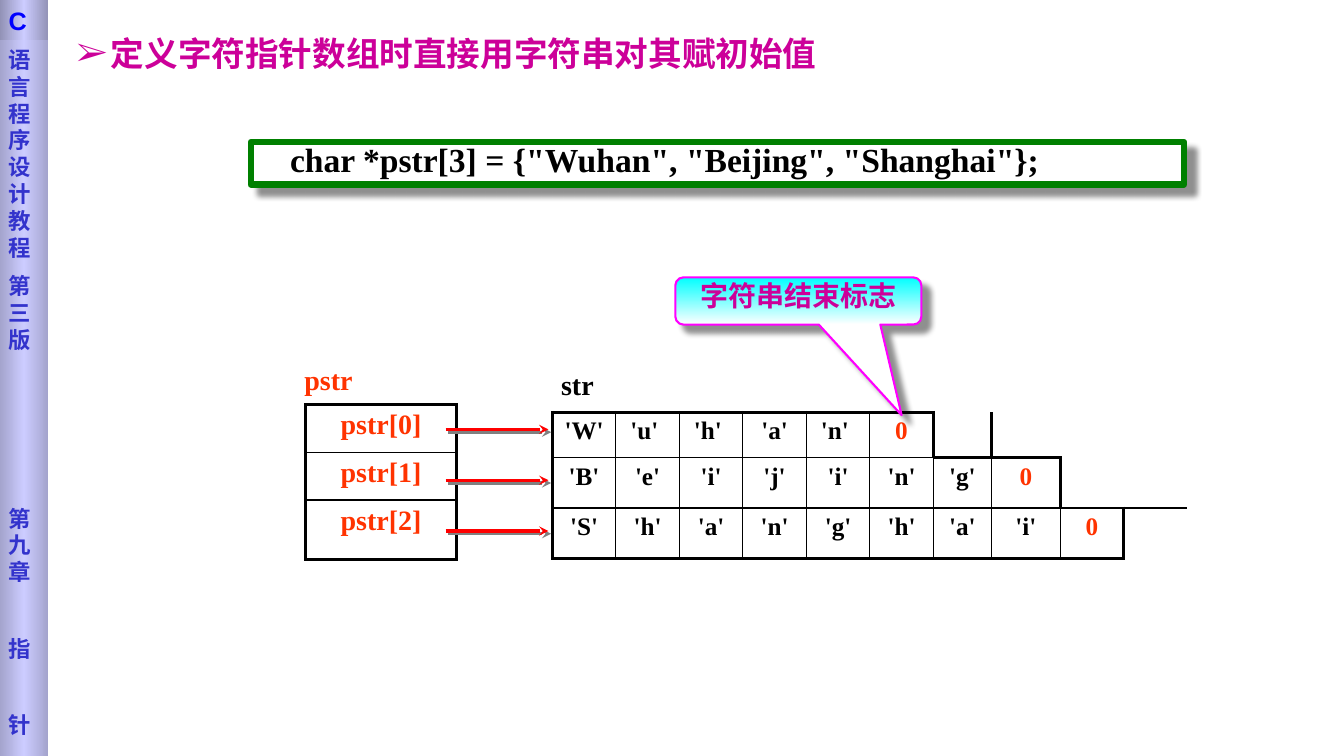
from lxml import etree
from pptx import Presentation
from pptx.dml.color import RGBColor
from pptx.enum.shapes import MSO_CONNECTOR, MSO_SHAPE
from pptx.enum.text import MSO_ANCHOR, MSO_AUTO_SIZE, PP_ALIGN
from pptx.oxml.ns import qn
from pptx.util import Cm, Pt

RECTANGLE = MSO_SHAPE.RECTANGLE
CALLOUT = MSO_SHAPE.ROUNDED_RECTANGULAR_CALLOUT
STRAIGHT = MSO_CONNECTOR.STRAIGHT
TOP, MIDDLE = MSO_ANCHOR.TOP, MSO_ANCHOR.MIDDLE
LEFT, CENTER = PP_ALIGN.LEFT, PP_ALIGN.CENTER
NO_AUTOFIT = MSO_AUTO_SIZE.NONE

BLACK = RGBColor(0x00, 0x00, 0x00)
WHITE = RGBColor(0xFF, 0xFF, 0xFF)
GRAY = RGBColor(0x80, 0x80, 0x80)
RED = RGBColor(0xFF, 0x00, 0x00)
ORANGE = RGBColor(0xFF, 0x33, 0x00)
GREEN = RGBColor(0x00, 0x80, 0x00)
CYAN = RGBColor(0x00, 0xFF, 0xFF)
MAGENTA = RGBColor(0xFF, 0x00, 0xFF)
PURPLE = RGBColor(0xCC, 0x00, 0x99)
BLUE = RGBColor(0x00, 0x00, 0xFF)
INDIGO = RGBColor(0x33, 0x33, 0xCC)
LAVENDER = RGBColor(0xCC, 0xCC, 0xFF)
BAR_EDGE = RGBColor(0xA4, 0xA4, 0xCD)
BADGE_EDGE = RGBColor(0x92, 0x92, 0xB6)

SERIF = "Times New Roman"
PLAIN_TABLE_STYLE = "{2D5ABB26-0587-4C30-8999-92F81FD0307C}"
THIN, HEAVY = Pt(1), Pt(2.25)

POINTER_ROWS = [["pstr[0]"], ["pstr[1]"], ["pstr[2]"]]
STRING_ROWS = [
    ["'W' ", "'u' ", "'h' ", "'a'", "'n' ", "0"],
    ["'B'", "'e'", "'i'", "'j'", "'i'", "'n'", "'g'", "0"],
    ["'S'", "'h'", "'a'", "'n'", "'g'", "'h'", "'a'", "'i'", "0"],
]
# Text and the space before it in points
SIDEBAR_TEXTS = [("语言程序设计教程", 0), ("第三版", 8), ("第九章", 108.5),
                 ("指", 35.5), ("针", 35.5)]


def add_element(parent, tag, **attributes):
    element = etree.SubElement(parent, qn(tag))
    for name, value in attributes.items():
        element.set(name, str(value))
    return element


def add_run(paragraph, text, size, color, font=SERIF):
    run = paragraph.add_run()
    run.text = text
    run.font.name, run.font.size, run.font.bold = font, Pt(size), True
    run.font.color.rgb = color


def set_shadow(properties, color, opacity, blur, distance):
    effects = properties.find(qn("a:effectLst"))
    if effects is None:
        effects = add_element(properties, "a:effectLst")
    shadow = add_element(effects, "a:outerShdw", blurRad=Pt(blur), dist=Pt(distance),
                         dir=45 * 60000, algn="ctr", rotWithShape=0)
    shade = add_element(shadow, "a:srgbClr", val=color)
    add_element(shade, "a:alpha", val=opacity * 1000)


def set_gradient(shape, colors, angle):
    """Spread the colours evenly; the angle runs counter-clockwise."""
    shape.fill.gradient()
    shape.fill.gradient_angle = angle
    stops = shape.fill._fill._gradFill.find(qn("a:gsLst"))
    for stop in list(stops):
        stops.remove(stop)
    for index, color in enumerate(colors):
        stop = add_element(stops, "a:gs", pos=100000 * index // (len(colors) - 1))
        add_element(stop, "a:srgbClr", val=color)


def add_panel(slide, kind, left, top, width, height, anchor=TOP):
    shape = slide.shapes.add_shape(kind, left, top, width, height)
    shape.shadow.inherit = False
    shape.line.fill.background()
    frame = shape.text_frame
    frame.word_wrap, frame.vertical_anchor = True, anchor
    frame.paragraphs[0].alignment = LEFT
    return shape


def add_heading(slide, left, top, width, height):
    title = slide.shapes.title
    title.left, title.top, title.width, title.height = left, top, width, height
    frame = title.text_frame
    frame.auto_size, frame.vertical_anchor = NO_AUTOFIT, MIDDLE
    paragraph = frame.paragraphs[0]
    paragraph.alignment = LEFT
    properties = paragraph._p.get_or_add_pPr()
    properties.set("marL", str(Cm(0.86)))
    properties.set("indent", str(Cm(-0.86)))
    add_element(properties, "a:buFont", typeface=SERIF)
    add_element(properties, "a:buChar", char="➢")
    add_run(paragraph, "定义字符指针数组时直接用字符串对其赋初始值", 24, PURPLE)


def add_code_box(slide, left, top, width, height):
    shape = add_panel(slide, RECTANGLE, left, top, width, height, MIDDLE)
    shape.fill.solid()
    shape.fill.fore_color.rgb = WHITE
    shape.line.color.rgb, shape.line.width = GREEN, Pt(4.5)
    set_shadow(shape._element.spPr, BLACK, 43, 4, 8.4)
    paragraph = shape.text_frame.paragraphs[0]
    paragraph.line_spacing = 0.8
    paragraph._p.get_or_add_pPr().set("indent", str(Cm(0.74)))
    add_run(paragraph, 'char *pstr[3] = {"Wuhan", "Beijing", "Shanghai"};', 24, BLACK)


def set_border(cell, side, width):
    line = add_element(cell._tc.get_or_add_tcPr(), "a:ln" + side, w=width)
    add_element(add_element(line, "a:solidFill"), "a:srgbClr", val=BLACK)


def add_stepped_table(slide, left, top, widths, heights, rows, size, color_of, ledges=()):
    """Frame the filled cells heavily and part them thinly; ledges are empty
    cells that also get a heavy bottom line."""
    frame = slide.shapes.add_table(len(rows), len(widths), left, top,
                                   sum(widths), sum(heights))
    table = frame.table
    table.first_row = table.horz_banding = False
    table._tbl.tblPr.find(qn("a:tableStyleId")).text = PLAIN_TABLE_STYLE
    for column, width in zip(table.columns, widths):
        column.width = width
    for row, height in zip(table.rows, heights):
        row.height = height

    def filled(row, column):
        return 0 <= row < len(rows) and 0 <= column < len(rows[row])

    for row in range(len(rows)):
        for column in range(len(widths)):
            cell = table.cell(row, column)
            neighbours = {"L": (row, column - 1), "R": (row, column + 1),
                          "T": (row - 1, column), "B": (row + 1, column)}
            for side, neighbour in neighbours.items():
                pair = filled(row, column) + filled(*neighbour)
                if side == "B" and (row, column) in ledges:
                    pair = 1
                if pair:
                    set_border(cell, side, THIN if pair == 2 else HEAVY)
            cell.fill.background()
            if filled(row, column):
                text = rows[row][column]
                paragraph = cell.text_frame.paragraphs[0]
                paragraph.alignment = CENTER
                add_run(paragraph, text, size, color_of(text))
    return table


def add_label(slide, left, top, width, height, text, color):
    frame = slide.shapes.add_textbox(left, top, width, height).text_frame
    frame.word_wrap = True
    frame.paragraphs[0].line_spacing = 0.8
    add_run(frame.paragraphs[0], text, 20, color)


def add_arrow(slide, left, top, width):
    arrow = slide.shapes.add_connector(STRAIGHT, left, top, left + width, top)
    arrow.line.color.rgb, arrow.line.width = RED, HEAVY
    add_element(arrow.line._get_or_add_ln(), "a:tailEnd", type="stealth")
    set_shadow(arrow._element.spPr, GRAY, 100, 0, 2.8)


def add_callout(slide, left, top, width, height):
    shape = add_panel(slide, CALLOUT, left, top, width, height)
    for index, value in enumerate((0.42, 2.42, 0.17)):
        shape.adjustments[index] = value
    set_gradient(shape, (CYAN, WHITE), 270)
    shape.line.color.rgb, shape.line.width = MAGENTA, Pt(1.5)
    set_shadow(shape._element.spPr, BLACK, 43, 4, 8.4)
    paragraph = shape.text_frame.paragraphs[0]
    paragraph.alignment, paragraph.line_spacing = CENTER, 0.8
    add_run(paragraph, "字符串结束标志", 20, PURPLE)


def add_sidebar(slide, left, top, width, height):
    bar = add_panel(slide, RECTANGLE, left, top, width, height)
    set_gradient(bar, (BAR_EDGE, LAVENDER, BAR_EDGE), 0)
    frame = bar.text_frame
    frame.margin_left, frame.margin_top = Cm(0.22), Cm(1.16)
    for index, (text, space) in enumerate(SIDEBAR_TEXTS):
        paragraph = frame.add_paragraph() if index else frame.paragraphs[0]
        paragraph.alignment = LEFT
        paragraph.space_before = Pt(space)
        add_run(paragraph, text, 16, INDIGO, "DejaVu Sans")
    badge = add_panel(slide, RECTANGLE, left, top, width, Cm(1.02))
    set_gradient(badge, (BADGE_EDGE, LAVENDER, BADGE_EDGE), 0)
    badge.text_frame.margin_left = Cm(0.22)
    add_run(badge.text_frame.paragraphs[0], "C", 18, BLUE, "Arial")


def main():
    presentation = Presentation()
    presentation.slide_width, presentation.slide_height = Cm(33.87), Cm(19.05)
    slide = presentation.slides.add_slide(presentation.slide_layouts[5])
    add_heading(slide, Cm(1.68), Cm(0.71), Cm(20.4), Cm(1.27))
    add_code_box(slide, Cm(6.32), Cm(3.58), Cm(23.52), Cm(1.07))
    add_stepped_table(slide, Cm(7.7), Cm(10.19), [Cm(3.81)],
                      [Cm(1.22), Cm(1.19), Cm(1.5)], POINTER_ROWS, 20, lambda text: ORANGE)
    strings = add_stepped_table(
        slide, Cm(13.92), Cm(10.39), [Cm(1.6)] * 6 + [Cm(1.47), Cm(1.73), Cm(1.6), Cm(1.6)],
        [Cm(1.14), Cm(1.27), Cm(1.27)], STRING_ROWS, 18,
        lambda text: ORANGE if text == "0" else BLACK, ledges={(1, 8), (1, 9)})
    strings.cell(1, 8).merge(strings.cell(1, 9))
    for index in range(len(STRING_ROWS)):
        add_arrow(slide, Cm(11.23), Cm(10.82) + index * Cm(1.28), Cm(2.59))
    add_label(slide, Cm(7.42), Cm(9.17), Cm(2.79), Cm(0.94), "pstr", ORANGE)
    add_label(slide, Cm(13.89), Cm(9.3), Cm(2.59), Cm(0.94), "str", BLACK)
    add_callout(slide, Cm(17.02), Cm(6.99), Cm(6.2), Cm(1.19))
    add_sidebar(slide, 0, 0, Cm(1.22), presentation.slide_height)
    presentation.save("out.pptx")


if __name__ == "__main__":
    main()
